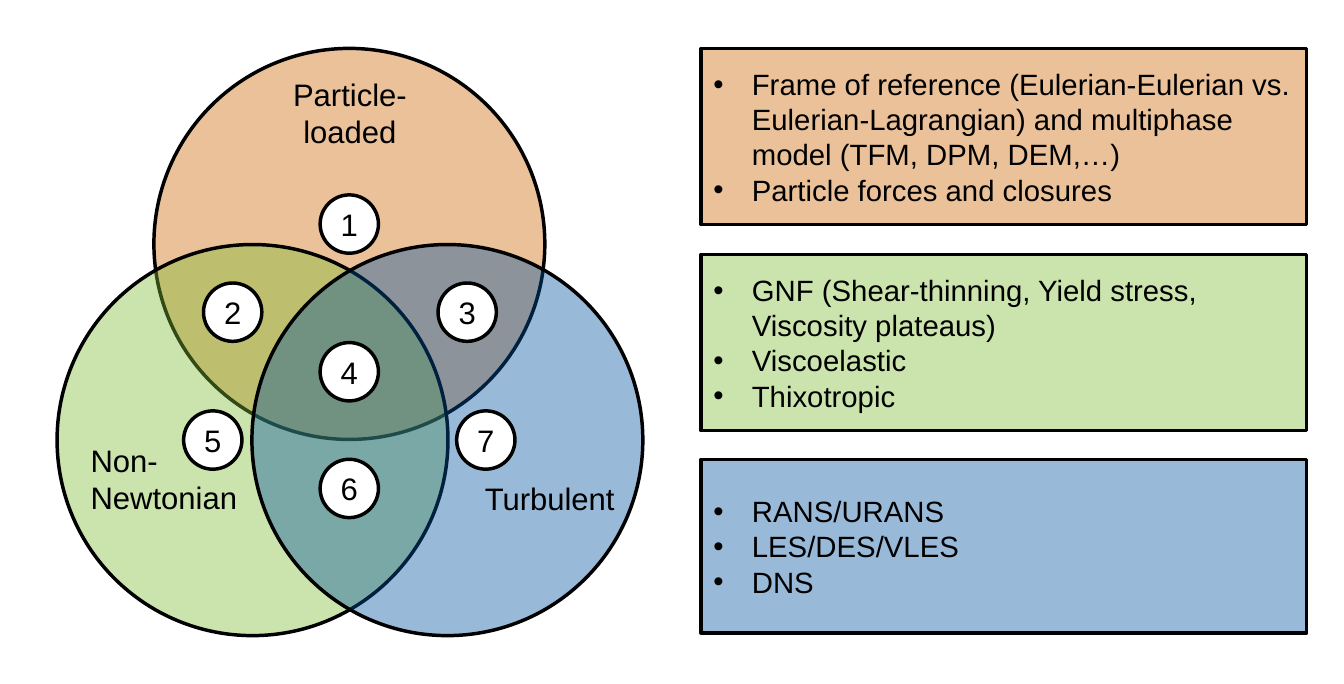
from lxml import etree
from pptx import Presentation
from pptx import util as u
from pptx.dml.color import RGBColor
from pptx.enum import shapes, text
from pptx.oxml import ns

PX = 9144  # EMU per px, 100 px to the inch
FONT = "Arial"
BLACK = RGBColor(0x00, 0x00, 0x00)
WHITE = RGBColor(0xFF, 0xFF, 0xFF)
ORANGE = RGBColor(0xCC, 0x66, 0x00)
GREEN = RGBColor(0x7E, 0xBA, 0x31)
BLUE = RGBColor(0x00, 0x50, 0x9E)

OVAL = shapes.MSO_SHAPE.OVAL
RECTANGLE = shapes.MSO_SHAPE.RECTANGLE
LEFT, CENTER = text.PP_ALIGN.LEFT, text.PP_ALIGN.CENTER

CIRCLE_SIZE, BADGE_SIZE = 315, 47
BOX_LEFT, BOX_WIDTH = 565, 488
BULLET_INDENT = 31

# Left, top, colour
CIRCLES = [(124, 39, ORANGE), (46, 197, GREEN), (203, 197, BLUE)]

# Text, left, top, width, height, alignment
LABELS = [
    ("Non-Newtonian", 69, 370, 134, 31, LEFT),
    ("Particle-loaded", 219, 55, 126, 71, CENTER),
    ("Turbulent", 376, 386, 134, 31, CENTER),
]

# Left and top of the badges, numbered from 1
BADGES = [(258, 157), (164, 228), (353, 228), (258, 276),
          (148, 331), (258, 370), (368, 331)]

# Top, height, colour, bullets
BOXES = [
    (39, 142, ORANGE, [
        "Frame of reference (Eulerian-Eulerian vs. Eulerian-Lagrangian) "
        "and multiphase model (TFM, DPM, DEM,…)",
        "Particle forces and closures"]),
    (205, 142, GREEN, [
        "GNF (Shear-thinning, Yield stress, Viscosity plateaus)",
        "Viscoelastic",
        "Thixotropic"]),
    (370, 140, BLUE, ["RANS/URANS", "LES/DES/VLES", "DNS"]),
]


def set_values(target, values):
    for name, value in values.items():
        setattr(target, name, value)


def scaled(*lengths):
    return [length * PX for length in lengths]


def add_outlined(slide, kind, bounds, color, opacity=100):
    shape = slide.shapes.add_shape(kind, *scaled(*bounds))
    shape.shadow.inherit = False
    shape.fill.solid()
    shape.fill.fore_color.rgb = color
    shape.line.color.rgb = BLACK
    shape.line.width = u.Pt(2)
    if opacity < 100:
        fill_color = shape.fill._xPr.find(".//" + ns.qn("a:srgbClr"))
        alpha = etree.SubElement(fill_color, ns.qn("a:alpha"))
        alpha.set("val", str(opacity * 1000))
    return shape


def write_lines(shape, lines, size, alignment, margins=(10, 5), wrap=True):
    across, down = scaled(*margins)
    frame = shape.text_frame
    set_values(frame, {
        "margin_left": across, "margin_right": across,
        "margin_top": down, "margin_bottom": down,
        "word_wrap": wrap, "vertical_anchor": text.MSO_ANCHOR.MIDDLE})
    for index, line in enumerate(lines):
        paragraph = frame.add_paragraph() if index else frame.paragraphs[0]
        paragraph.alignment = alignment
        run = paragraph.add_run()
        run.text = line
        set_values(run.font, {"name": FONT, "size": u.Pt(size)})
        run.font.color.rgb = BLACK


def add_bullet(paragraph):
    properties = paragraph._p.get_or_add_pPr()
    properties.set("marL", str(BULLET_INDENT * PX))
    properties.set("indent", str(-BULLET_INDENT * PX))
    etree.SubElement(properties, ns.qn("a:buFont")).set("typeface", FONT)
    etree.SubElement(properties, ns.qn("a:buChar")).set("char", "•")


def add_label(slide, label, left, top, width, height, alignment):
    box = slide.shapes.add_textbox(*scaled(left, top, width, height))
    write_lines(box, [label], 18, alignment, margins=(4, 4))


def add_badge(slide, number, left, top):
    bounds = (left, top, BADGE_SIZE, BADGE_SIZE)
    badge = add_outlined(slide, OVAL, bounds, WHITE)
    write_lines(badge, [str(number)], 18, CENTER, margins=(0, 0), wrap=False)


def add_bullet_box(slide, top, height, color, bullets):
    bounds = (BOX_LEFT, top, BOX_WIDTH, height)
    box = add_outlined(slide, RECTANGLE, bounds, color, opacity=40)
    write_lines(box, bullets, 17, LEFT)
    for paragraph in box.text_frame.paragraphs:
        add_bullet(paragraph)


def main():
    presentation = Presentation()
    set_values(presentation, {"slide_width": 1083 * PX,
                              "slide_height": 551 * PX})
    slide = presentation.slides.add_slide(presentation.slide_layouts[6])

    # Venn diagram
    for left, top, color in CIRCLES:
        bounds = (left, top, CIRCLE_SIZE, CIRCLE_SIZE)
        add_outlined(slide, OVAL, bounds, color, opacity=40)
    for label in LABELS:
        add_label(slide, *label)
    for number, position in enumerate(BADGES, 1):
        add_badge(slide, number, *position)

    # Modelling topics
    for box in BOXES:
        add_bullet_box(slide, *box)

    presentation.save("out.pptx")


if __name__ == "__main__":
    main()
